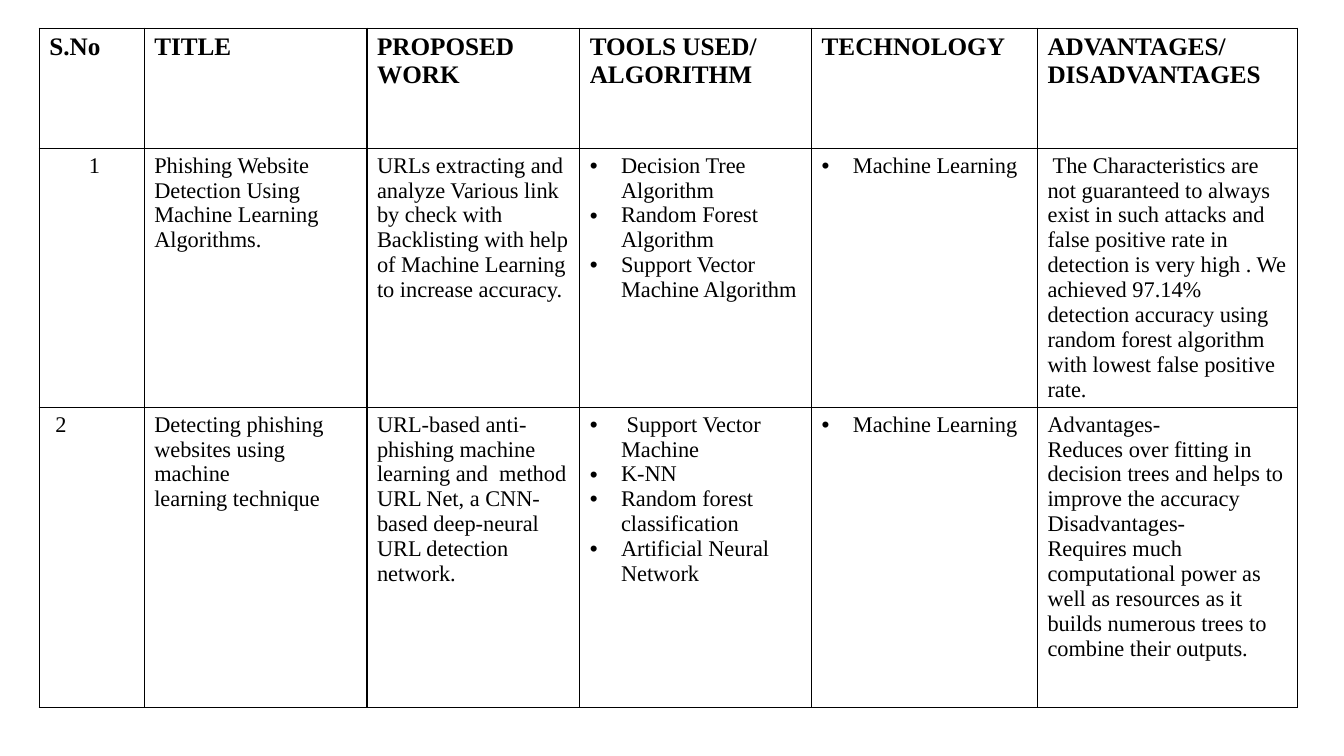
"""Build a literature survey slide with one bordered comparison table."""
from dataclasses import dataclass

from lxml.etree import SubElement
from pptx import Presentation
from pptx.dml.color import RGBColor
from pptx.oxml import parse_xml
from pptx.oxml.ns import nsdecls, qn
from pptx.util import Inches, Pt

SLIDE_SIZE = (13.33, 7.5)
TABLE_CORNER = (0.39, 0.28)
COLUMN_WIDTHS = (1.04, 2.21, 2.11, 2.3, 2.24, 2.58)
ROW_HEIGHTS = (1.19, 2.57, 2.98)
FONT = "Times New Roman"
INK = "000000"
HEADING_SIZE, BODY_SIZE = 18, 16
BULLET_INDENT = 0.31


@dataclass(frozen=True)
class Entry:
    text: str
    bulleted: bool = False
    indent: float = 0


HEADINGS = [Entry(text) for text in (
    "S.No", "TITLE", "PROPOSED WORK", "TOOLS USED/\nALGORITHM",
    "TECHNOLOGY", "ADVANTAGES/ DISADVANTAGES")]

PAPERS = [
    [
        Entry("1", indent=0.39),
        Entry("Phishing Website Detection Using Machine Learning Algorithms."),
        Entry("URLs extracting and analyze Various link by check with Backlisting "
              "with help of Machine Learning to increase accuracy."),
        Entry("Decision Tree Algorithm\nRandom Forest Algorithm\n"
              "Support Vector Machine Algorithm", bulleted=True),
        Entry("Machine Learning", bulleted=True),
        Entry(" The Characteristics are not guaranteed to always exist in such "
              "attacks and false positive rate in detection is very high . "
              "We achieved 97.14% detection accuracy using random forest "
              "algorithm with lowest false positive rate."),
    ],
    [
        Entry("2", indent=0.06),
        Entry("Detecting phishing websites using machine\nlearning technique"),
        Entry("URL-based anti-phishing machine learning and  method URL Net, "
              "a CNN-based deep-neural URL detection network."),
        Entry(" Support Vector Machine\nK-NN\nRandom forest classification\n"
              "Artificial Neural Network", bulleted=True),
        Entry("Machine Learning", bulleted=True),
        Entry("Advantages-\nReduces over fitting in decision trees and helps to "
              "improve the accuracy\nDisadvantages-\nRequires much computational "
              "power as well as resources as it builds numerous trees to combine "
              "their outputs."),
    ],
]


def color(value: str) -> RGBColor:
    """Turn a hex string into a colour."""
    return RGBColor.from_string(value)


def add_borders(cell) -> None:
    """Draw a thin line on all four sides of a cell."""
    properties = cell._tc.get_or_add_tcPr()
    for index, side in enumerate("LRTB"):
        properties.insert(index, parse_xml(
            f'<a:ln{side} {nsdecls("a")} w="{Pt(1)}"><a:solidFill>'
            f'<a:srgbClr val="{INK}"/></a:solidFill></a:ln{side}>'))


def indent_paragraph(para, entry: Entry) -> None:
    """Apply the entry's left indent and its hanging bullet."""
    properties = para._p.get_or_add_pPr()
    left = BULLET_INDENT if entry.bulleted else entry.indent
    properties.set("marL", str(Inches(left)))
    if entry.bulleted:
        properties.set("indent", str(-Inches(left)))
        bullet_font = SubElement(properties, qn("a:buFont"), typeface="Arial")
        bullet = SubElement(properties, qn("a:buChar"), char="•")
        properties.insert(0, bullet_font)
        properties.insert(1, bullet)


def fill_cell(cell, entry: Entry, heading: bool) -> None:
    """Write an entry into a cell and style it."""
    cell.text = entry.text
    cell.fill.background()
    add_borders(cell)
    for para in cell.text_frame.paragraphs:
        para.font.name = FONT
        para.font.size = Pt(HEADING_SIZE if heading else BODY_SIZE)
        para.font.bold = heading
        para.font.color.rgb = color(INK)
        indent_paragraph(para, entry)


def add_survey_table(page, rows: list[list[Entry]]) -> None:
    """Place the survey table on the page."""
    extent = (sum(COLUMN_WIDTHS), sum(ROW_HEIGHTS))
    frame = page.shapes.add_table(
        len(rows), len(COLUMN_WIDTHS), *map(Inches, TABLE_CORNER + extent))
    table = frame.table
    table.first_row = table.horz_banding = False
    for column, width in zip(table.columns, COLUMN_WIDTHS):
        column.width = Inches(width)
    for row, height, entries in zip(table.rows, ROW_HEIGHTS, rows):
        row.height = Inches(height)
        for cell, entry in zip(row.cells, entries):
            fill_cell(cell, entry, heading=entries is HEADINGS)


def main() -> None:
    """Create and save the deck."""
    deck = Presentation()
    deck.slide_width, deck.slide_height = map(Inches, SLIDE_SIZE)
    page = deck.slides.add_slide(deck.slide_layouts[6])
    add_survey_table(page, [HEADINGS, *PAPERS])
    deck.save("out.pptx")


main()
